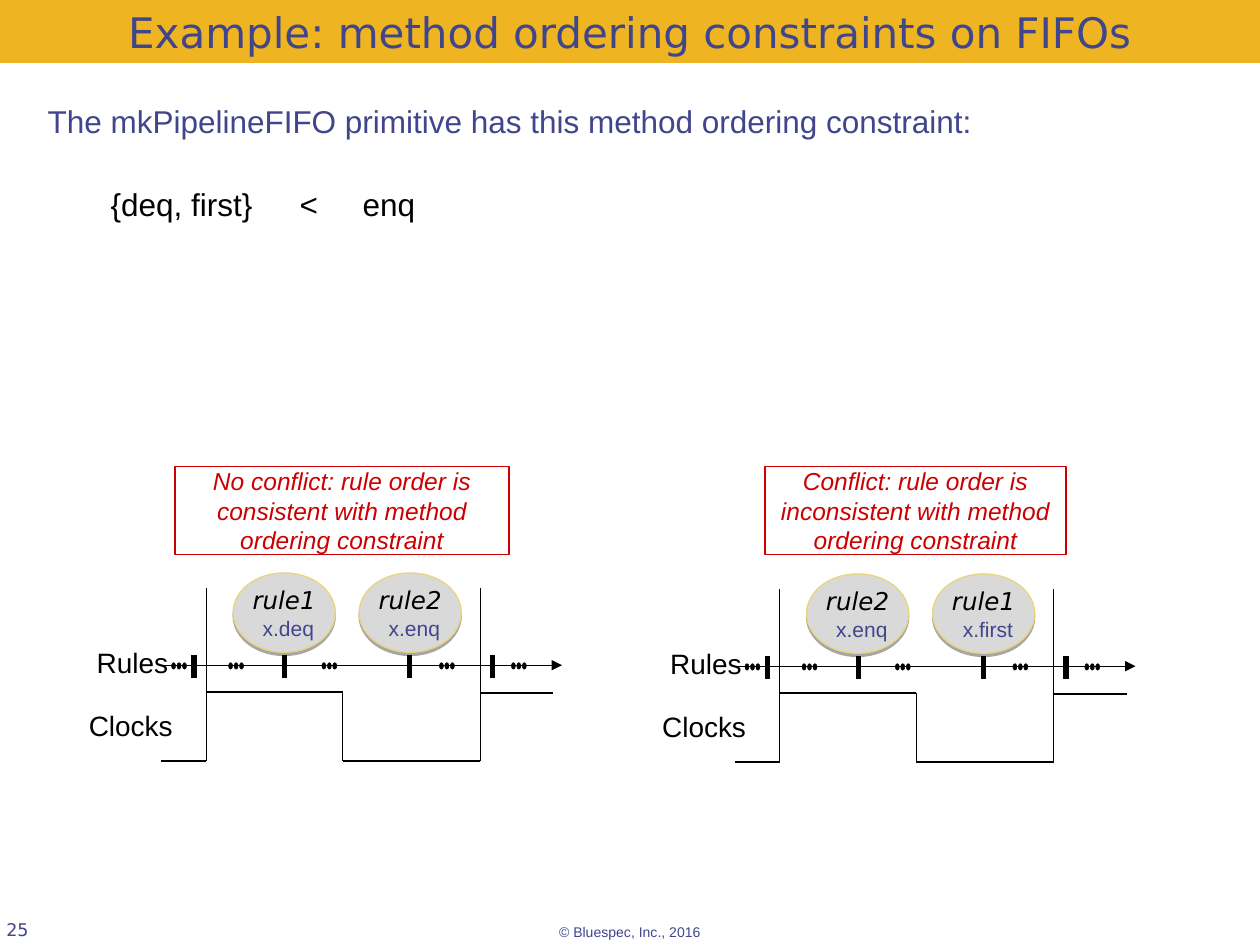
from lxml.etree import SubElement
from pptx import Presentation
from pptx.dml.color import RGBColor
from pptx.enum.shapes import MSO_CONNECTOR, MSO_SHAPE
from pptx.enum.text import MSO_ANCHOR, MSO_AUTO_SIZE, PP_ALIGN
from pptx.oxml import parse_xml
from pptx.oxml.ns import nsdecls, qn
from pptx.util import Cm, Pt

COLORS = {
    "banner": "EEB422", "indigo": "40458C", "black": "000000", "white": "FFFFFF",
    "bubble": "D9D9D9", "bubble_edge": "E9D57C", "red": "CC0000",
}
RGB = {name: RGBColor.from_string(value) for name, value in COLORS.items()}


def write(sp, text, size, color, font="Arial", italic=False,
          align=PP_ALIGN.CENTER, anchor=MSO_ANCHOR.TOP, inset=(0.25, 0.13)):
    tf = sp.text_frame
    tf.text = text
    tf.word_wrap = True
    tf.auto_size = MSO_AUTO_SIZE.NONE
    tf.vertical_anchor = anchor
    tf.margin_left = tf.margin_right = Cm(inset[0])
    tf.margin_top = tf.margin_bottom = Cm(inset[1])
    for p in tf.paragraphs:
        p.alignment = align
        p.space_before = Pt(0)
        for r in p.runs:
            r.font.name = font
            r.font.size = Pt(size)
            r.font.italic = italic
            r.font.color.rgb = RGB[color]


def draw_line(x1, y1, x2, y2, width):
    line = s.shapes.add_connector(MSO_CONNECTOR.STRAIGHT, Cm(x1), Cm(y1), Cm(x2), Cm(y2))
    line.line.color.rgb = RGB["black"]
    line.line.width = Pt(width)
    SubElement(line._element.spPr, qn("a:effectLst"))
    return line


prs = Presentation()
prs.slide_width, prs.slide_height = Cm(25.4), Cm(19.05)
s = prs.slides.add_slide(prs.slide_layouts[1])

title = s.shapes.title
title.left, title.top, title.width, title.height = Cm(0), Cm(0), Cm(25.4), Cm(1.27)
title.fill.solid()
title.fill.fore_color.rgb = RGB["banner"]
write(title, "Example: method ordering constraints on FIFOs", 24, "indigo",
      "DejaVu Sans", anchor=MSO_ANCHOR.BOTTOM, inset=(0, 0.13))

body = s.placeholders[1]
body.left, body.top, body.width, body.height = Cm(0.71), Cm(1.93), Cm(23.95), Cm(2.67)
write(body, "The mkPipelineFIFO primitive has this method ordering constraint:\n"
            "\t{deq, first}\t<\tenq", 18, "indigo", align=PP_ALIGN.LEFT)
for p in body.text_frame.paragraphs:
    pPr = p._p.get_or_add_pPr()
    pPr.set("marL", "0")
    pPr.set("indent", "0")
    SubElement(pPr, qn("a:buNone"))
constraint = body.text_frame.paragraphs[1]
constraint.space_before = Pt(26)
tabs = SubElement(constraint._p.pPr, qn("a:tabLst"))
for stop in (1.76, 5.14, 6.05):
    SubElement(tabs, qn("a:tab"), pos=str(Cm(stop)), algn="l")
for r in constraint.runs:
    r.font.color.rgb = RGB["black"]

number = s.shapes.add_textbox(Cm(0.13), Cm(17.68), Cm(5.28), Cm(1.27))
write(number, "25", 10, "indigo", "DejaVu Sans", align=PP_ALIGN.LEFT,
      anchor=MSO_ANCHOR.BOTTOM, inset=(0, 0))
footer = s.shapes.add_textbox(Cm(10.7), Cm(18.49), Cm(4), Cm(0.58))
write(footer, "© Bluespec, Inc., 2016", 8, "indigo")

panels = [
    (0, 0, [("rule1", "x.deq"), ("rule2", "x.enq")], 3.53, 6.73,
     "No conflict: rule order is consistent with method ordering constraint"),
    (11.56, 0.02, [("rule2", "x.enq"), ("rule1", "x.first")], 15.42, 6.07,
     "Conflict: rule order is inconsistent with method ordering constraint"),
]
clock_wave = [(3.25, 15.34), (4.16, 15.34), (4.16, 13.95), (6.91, 13.95),
              (6.91, 15.34), (9.68, 15.34), (9.68, 13.97), (11.15, 13.97)]

for dx, dy, rules, note_left, note_width, note_text in panels:
    for i, (rule, method) in enumerate(rules):
        left = dx + 4.7 + 2.54 * i
        bubble = s.shapes.add_shape(MSO_SHAPE.OVAL, Cm(left), Cm(dy + 11.55), Cm(2.06), Cm(1.6))
        bubble.fill.solid()
        bubble.fill.fore_color.rgb = RGB["bubble"]
        bubble.line.color.rgb = RGB["bubble_edge"]
        bubble.line.width = Pt(0.75)
        bubble._element.spPr.append(parse_xml(
            f'<a:effectLst {nsdecls("a")}><a:outerShdw blurRad="0" dist="{Pt(1.8)}" '
            f'dir="5400000" rotWithShape="0"><a:srgbClr val="{COLORS["black"]}">'
            '<a:alpha val="35000"/></a:srgbClr></a:outerShdw></a:effectLst>'))
        write(bubble, rule, 14, "black", "DejaVu Sans", italic=True, inset=(0, 0))
        label = s.shapes.add_textbox(Cm(left + 0.34), Cm(dy + 12.27), Cm(1.55), Cm(0.76))
        write(label, method, 12, "indigo", inset=(0, 0.13))

    axis = draw_line(dx + 3.23, dy + 13.41, dx + 11.33, dy + 13.41, 0.25)
    SubElement(axis.line._get_or_add_ln(), qn("a:tailEnd"), type="triangle")
    for x in (3.91, 5.74, 8.26, 9.93):
        draw_line(dx + x, dy + 13.21, dx + x, dy + 13.67, 3)
    for x, bottom in ((4.15, 14.22), (9.68, 14.33)):
        draw_line(dx + x, dy + 11.86, dx + x, dy + bottom, 0.25)

    for x in (3.46, 4.61, 6.49, 8.86, 10.31):
        ellipsis = s.shapes.add_group_shape()
        for i in range(3):
            dot = ellipsis.shapes.add_shape(MSO_SHAPE.OVAL, Cm(dx + x + 0.11 * i),
                                            Cm(dy + 13.36), Cm(0.08), Cm(0.13))
            dot.shadow.inherit = False
            dot.fill.solid()
            dot.fill.fore_color.rgb = RGB["black"]
            dot.line.color.rgb = RGB["black"]
            dot.line.width = Pt(0.25)

    for (x1, y1), (x2, y2) in zip(clock_wave, clock_wave[1:]):
        draw_line(dx + x1, dy + y1, dx + x2, dy + y2, 0.75)

    for name, x, y, width in (("Rules", 1.07, 12.88, 3.2), ("Clocks", 0.91, 14.15, 3.45)):
        label = s.shapes.add_textbox(Cm(dx + x), Cm(dy + y), Cm(width), Cm(0.94))
        write(label, name, 16, "black")

    note = s.shapes.add_shape(MSO_SHAPE.RECTANGLE, Cm(note_left), Cm(9.4), Cm(note_width), Cm(1.78))
    note.shadow.inherit = False
    note.fill.solid()
    note.fill.fore_color.rgb = RGB["white"]
    note.line.color.rgb = RGB["red"]
    note.line.width = Pt(0.75)
    write(note, note_text, 14, "red", italic=True, anchor=MSO_ANCHOR.MIDDLE, inset=(0, 0))

prs.save("out.pptx")
